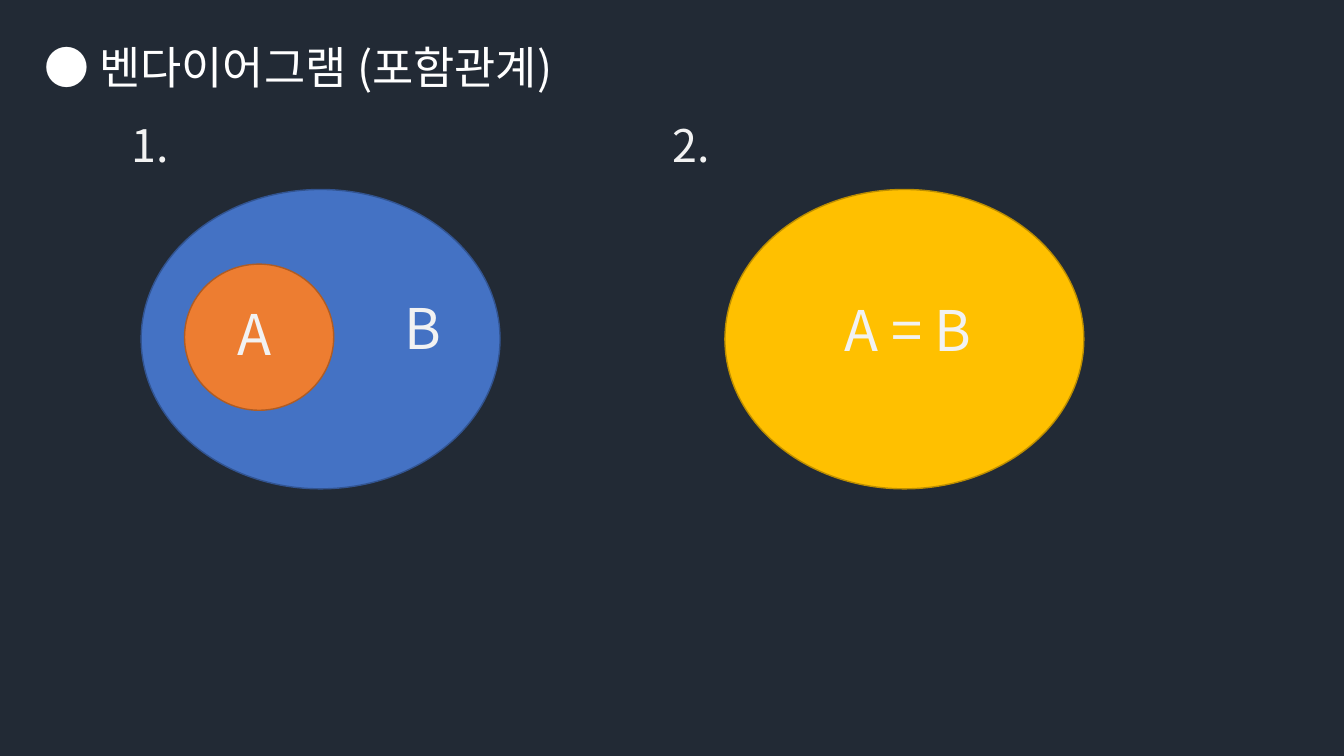
from lxml import etree
from pptx import Presentation
from pptx.dml.color import RGBColor
from pptx.enum.shapes import MSO_SHAPE
from pptx.enum.text import MSO_ANCHOR, MSO_AUTO_SIZE, PP_ALIGN
from pptx.oxml.ns import qn
from pptx.util import Inches, Pt

OVAL = MSO_SHAPE.OVAL
TOP = MSO_ANCHOR.TOP
GROW = MSO_AUTO_SIZE.SHAPE_TO_FIT_TEXT
LEFT = PP_ALIGN.LEFT
FONT = "Noto Sans CJK KR"
BACKGROUND, WHITE, PALE = "222A35", "FFFFFF", "F2F2F2"

# Content: text, box (left, top, width, height), size
TITLE = ("● 벤다이어그램 (포함관계)", (0.34, 0.34, 5.91, 0.64), 32)
LABELS = [
    ("1.", (1.21, 1.12, 4.18, 0.64), 32),
    ("2.", (6.57, 1.12, 4.18, 0.64), 32),
    ("B", (3.91, 2.86, 1.33, 0.77), 40),
    ("A", (2.26, 2.92, 1.33, 0.77), 40),
    ("A = B", (8.28, 2.88, 1.78, 0.77), 40),
]
# Sets: box, fill, outline
SETS = [
    ((1.4, 1.88, 3.56, 2.97), "4472C4", "325491"),
    ((1.83, 2.62, 1.48, 1.45), "ED7D31", "AF5C24"),
    ((7.19, 1.88, 3.56, 2.97), "FFC000", "BD8E00"),
]


def color(value):
    return RGBColor.from_string(value)


def inches(box):
    return [Inches(length) for length in box]


def write(shape, text, size, text_color):
    frame = shape.text_frame
    frame.word_wrap = True
    frame.auto_size = GROW
    frame.vertical_anchor = TOP
    paragraph = frame.paragraphs[0]
    paragraph.alignment = LEFT
    paragraph.line_spacing = 1.0
    paragraph.space_before = Pt(0)
    run = paragraph.add_run()
    run.text = text
    run.font.size = Pt(size)
    run.font.name = FONT
    run.font.color.rgb = color(text_color)
    # East Asian typeface for the Korean text
    properties = run.font._element if hasattr(run.font, "_element") else run._r.get_or_add_rPr()
    etree.SubElement(properties, qn("a:ea")).set("typeface", FONT)


presentation = Presentation()
presentation.slide_width = Inches(13.33)
presentation.slide_height = Inches(7.5)
slide = presentation.slides.add_slide(presentation.slide_layouts[5])
slide.background.fill.solid()
slide.background.fill.fore_color.rgb = color(BACKGROUND)

# Title
text, box, size = TITLE
title = slide.shapes.title
title.left, title.top, title.width, title.height = inches(box)
write(title, text, size, WHITE)

# Venn sets
for box, fill, outline in SETS:
    oval = slide.shapes.add_shape(OVAL, *inches(box))
    oval.shadow.inherit = False
    oval.fill.solid()
    oval.fill.fore_color.rgb = color(fill)
    oval.line.color.rgb = color(outline)
    oval.line.width = Pt(1)

# Numbers and set names
for text, box, size in LABELS:
    write(slide.shapes.add_textbox(*inches(box)), text, size, PALE)

presentation.save("out.pptx")
